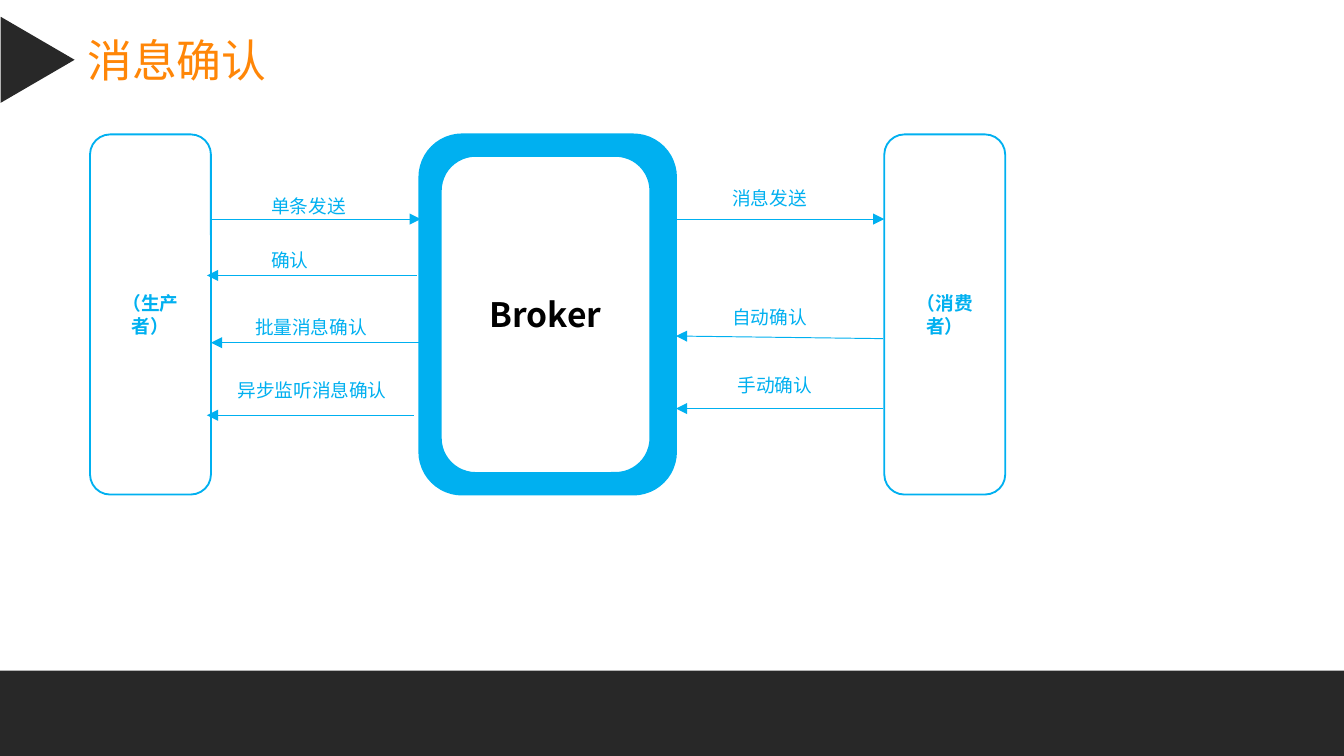
from lxml import etree
from pptx import Presentation
from pptx.dml.color import RGBColor
from pptx.enum.shapes import MSO_CONNECTOR, MSO_SHAPE
from pptx.enum.text import MSO_ANCHOR, MSO_AUTO_SIZE, PP_ALIGN
from pptx.oxml.ns import qn
from pptx.util import Inches, Pt

STRAIGHT = MSO_CONNECTOR.STRAIGHT
RECT, ROUND, TRIANGLE = MSO_SHAPE.RECTANGLE, MSO_SHAPE.ROUNDED_RECTANGLE, MSO_SHAPE.ISOSCELES_TRIANGLE
TOP, MIDDLE = MSO_ANCHOR.TOP, MSO_ANCHOR.MIDDLE
LEFT, CENTER = PP_ALIGN.LEFT, PP_ALIGN.CENTER
NO_FIT = MSO_AUTO_SIZE.NONE

DARK = RGBColor(0x28, 0x28, 0x28)
ORANGE = RGBColor(0xFF, 0x86, 0x07)
BLUE = RGBColor(0x00, 0xB0, 0xF0)
WHITE = RGBColor(0xFF, 0xFF, 0xFF)
BLACK = RGBColor(0, 0, 0)
FONT, TITLE_FONT = "Noto Sans CJK SC", "Arial Narrow"

WIDTH = 10
HEIGHT = WIDTH * 9 / 16
FOOTER_TOP = 4.99
ROW_TOP, ROW_HEIGHT = 1, 2.68
PRODUCER_X, CONSUMER_X, ROLE_WIDTH = 0.67, 6.58, 0.9
BROKER_X, BROKER_WIDTH = 3.12, 1.91
FRAME, PANEL_WIDTH = 0.16, 1.56
PRODUCER_EDGE = PRODUCER_X + ROLE_WIDTH
BROKER_EDGE = BROKER_X + BROKER_WIDTH
LABEL_HEIGHT = 0.27

TITLE = "消息确认"
ROLES = [("（生产者）", PRODUCER_X), ("（消费者）", CONSUMER_X)]
# label, label left, label top, label width, arrow start, arrow end
MESSAGES = [
    ("单条发送", 1.92, 1.4, 0.82, (PRODUCER_EDGE, 1.63), (3.13, 1.63)),
    ("确认", 1.92, 1.8, 0.82, (3.1, 2.05), (1.54, 2.05)),
    ("批量消息确认", 1.8, 2.3, 1.1, (BROKER_X, 2.55), (PRODUCER_EDGE, 2.55)),
    ("异步监听消息确认", 1.67, 2.77, 1.36, (3.08, 3.09), (1.54, 3.09)),
    ("消息发送", 5.35, 1.34, 0.82, (BROKER_EDGE, 1.63), (CONSUMER_X, 1.63)),
    ("自动确认", 5.35, 2.23, 0.82, (6.57, 2.52), (BROKER_EDGE, 2.5)),
    ("手动确认", 5.39, 2.73, 0.82, (6.57, 3.04), (BROKER_EDGE, 3.04)),
]


def write(s, text, size, color, font=FONT, bold=False, align=LEFT, anchor=TOP, wrap=True):
    tf = s.text_frame
    tf.text = text
    tf.auto_size, tf.word_wrap, tf.vertical_anchor = NO_FIT, wrap, anchor
    p = tf.paragraphs[0]
    p.alignment = align
    r = p.runs[0]
    r.font.size, r.font.bold, r.font.name = Pt(size), bold, font
    r.font.color.rgb = color
    etree.SubElement(r.font._element, qn("a:ea"), typeface=FONT)


def add_box(slide, kind, x, y, w, h, fill=None, line=None):
    s = slide.shapes.add_shape(kind, Inches(x), Inches(y), Inches(w), Inches(h))
    s.shadow.inherit = False
    if fill is None:
        s.fill.background()
    else:
        s.fill.solid()
        s.fill.fore_color.rgb = fill
    if line is None:
        s.line.fill.background()
    else:
        s.line.color.rgb = line
        s.line.width = Pt(1)
    return s


def add_arrow(slide, start, end):
    c = slide.shapes.add_connector(STRAIGHT, *(Inches(v) for v in start + end))
    c.line.color.rgb = BLUE
    c.line.width = Pt(0.5)
    etree.SubElement(c.line._get_or_add_ln(), qn("a:tailEnd"), type="triangle")
    etree.SubElement(c._element.spPr, qn("a:effectLst"))


def main():
    """Build the message acknowledgement slide."""
    prs = Presentation()
    prs.slide_width, prs.slide_height = Inches(WIDTH), Inches(HEIGHT)
    slide = prs.slides.add_slide(prs.slide_layouts[5])

    title = slide.shapes.title
    title.left, title.top, title.width, title.height = (Inches(v) for v in (0.55, 0.19, 1.55, 0.5))
    write(title, TITLE, 24, ORANGE, font=TITLE_FONT, wrap=False)

    add_box(slide, RECT, 0, FOOTER_TOP, WIDTH, HEIGHT - FOOTER_TOP, DARK)
    add_box(slide, TRIANGLE, -0.04, 0.17, 0.64, 0.55, DARK).rotation = 90

    add_box(slide, ROUND, BROKER_X, ROW_TOP, BROKER_WIDTH, ROW_HEIGHT, BLUE, BLUE)
    for name, x in ROLES:
        s = add_box(slide, ROUND, x, ROW_TOP, ROLE_WIDTH, ROW_HEIGHT, line=BLUE)
        write(s, name, 10, BLUE, bold=True, align=CENTER, anchor=MIDDLE)
    broker = add_box(slide, ROUND, BROKER_X + FRAME, ROW_TOP + FRAME,
                     PANEL_WIDTH, ROW_HEIGHT - 2 * FRAME, WHITE, BLUE)
    write(broker, "Broker", 18, BLACK, bold=True, align=CENTER, anchor=MIDDLE)

    for label, x, y, w, start, end in MESSAGES:
        add_arrow(slide, start, end)
        s = slide.shapes.add_textbox(Inches(x), Inches(y), Inches(w), Inches(LABEL_HEIGHT))
        write(s, label, 10, BLUE)

    prs.save("out.pptx")


if __name__ == "__main__":
    main()
